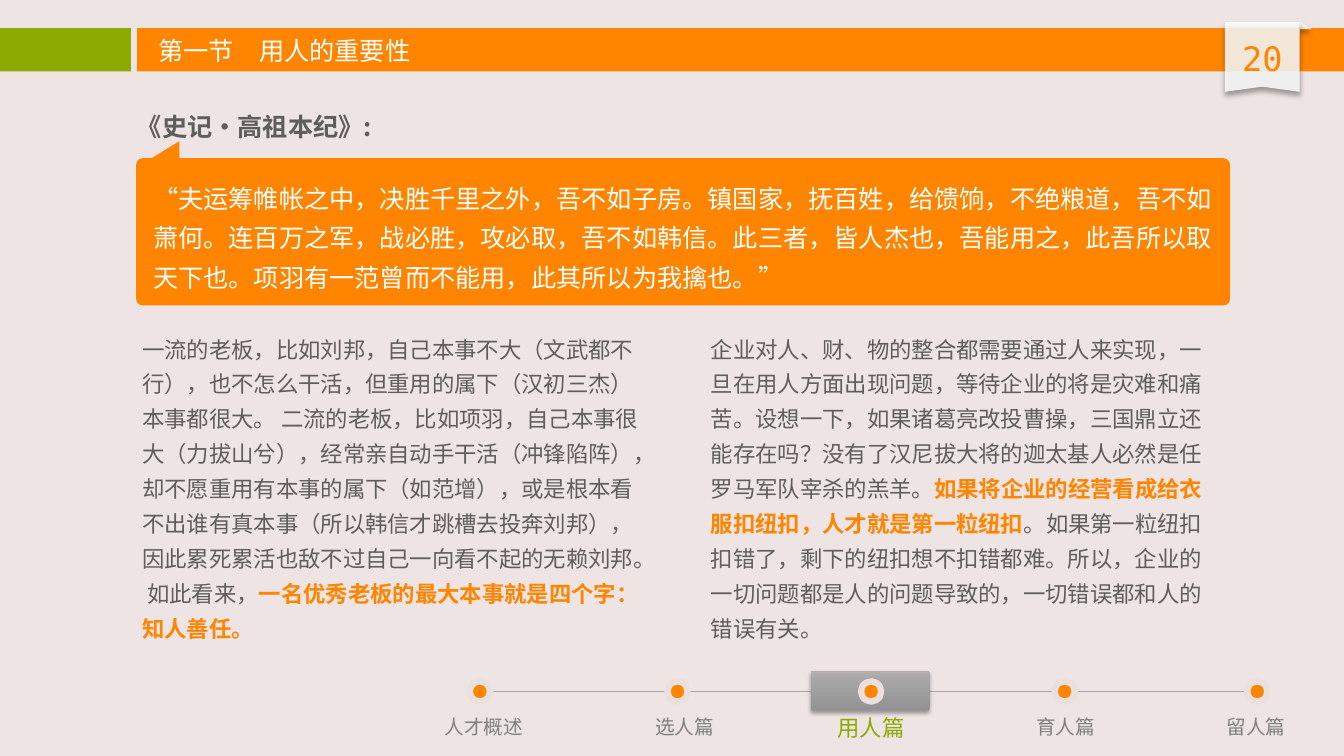
from lxml import etree
from pptx import Presentation
from pptx.dml.color import RGBColor
from pptx.enum.dml import MSO_THEME_COLOR
from pptx.enum.shapes import MSO_CONNECTOR, MSO_SHAPE
from pptx.enum.text import MSO_ANCHOR, MSO_AUTO_SIZE, PP_ALIGN
from pptx.oxml.ns import qn
from pptx.util import Inches, Pt

RECTANGLE, ROUNDED = MSO_SHAPE.RECTANGLE, MSO_SHAPE.ROUNDED_RECTANGLE
OVAL, TRIANGLE = MSO_SHAPE.OVAL, MSO_SHAPE.ISOSCELES_TRIANGLE
RIGHT_TRIANGLE, STRAIGHT = MSO_SHAPE.RIGHT_TRIANGLE, MSO_CONNECTOR.STRAIGHT
LEFT, CENTER, TOP = PP_ALIGN.LEFT, PP_ALIGN.CENTER, MSO_ANCHOR.TOP
GROW = MSO_AUTO_SIZE.SHAPE_TO_FIT_TEXT

COLORS = {
    "page": "EEE4E4", "orange": "FF8500", "green": "8BAB00", "white": "FFFFFF",
    "fold": "F8F8F8", "ring": "EAE0DE", "track": "A6A6A6", "label": "808080",
    "body": "5F5E5C", "shadow": "000000",
}
TAB_GRADIENT = [(0, "939292"), (80, "A6A6A7"), (100, "B6B0B2")]
SANS, MONO = "Noto Sans CJK SC", "DejaVu Sans Mono"

TITLE = "第一节　用人的重要性"
SOURCE = "《史记•高祖本纪》:"
QUOTE = (
    "“夫运筹帷帐之中，决胜千里之外，吾不如子房。镇国家，抚百姓，给馈饷，不绝粮道，"
    "吾不如萧何。连百万之军，战必胜，攻必取，吾不如韩信。此三者，皆人杰也，吾能用之，"
    "此吾所以取天下也。项羽有一范曾而不能用，此其所以为我擒也。”"
)
BOSSES = [
    ("一流的老板，比如刘邦，自己本事不大（文武都不行），也不怎么干活，但重用的属下"
     "（汉初三杰）本事都很大。 二流的老板，比如项羽，自己本事很大（力拔山兮），经常亲自"
     "动手干活（冲锋陷阵），却不愿重用有本事的属下（如范增），或是根本看不出谁有真本事"
     "（所以韩信才跳槽去投奔刘邦），因此累死累活也敌不过自己一向看不起的无赖刘邦。 "
     "如此看来，", False),
    ("一名优秀老板的最大本事就是四个字：知人善任。", True),
]
TALENT = [
    ("企业对人、财、物的整合都需要通过人来实现，一旦在用人方面出现问题，等待企业的将是"
     "灾难和痛苦。设想一下，如果诸葛亮改投曹操，三国鼎立还能存在吗？没有了汉尼拔大将的"
     "迦太基人必然是任罗马军队宰杀的羔羊。", False),
    ("如果将企业的经营看成给衣服扣纽扣，人才就是第一粒纽扣", True),
    ("。如果第一粒纽扣扣错了，剩下的纽扣想不扣错都难。所以，企业的一切问题都是人的问题"
     "导致的，一切错误都和人的错误有关。", False),
]
CHAPTERS = [
    ("人才概述", 4.76, 4.8), ("选人篇", 6.72, 6.79), ("用人篇", 8.64, 8.64),
    ("育人篇", 10.56, 10.57), ("留人篇", 12.47, 12.46),
]
CURRENT = "用人篇"


def rgb(name):
    """Return the named colour."""
    return RGBColor.from_string(COLORS[name])


def paint(shape, color, alpha=100):
    """Give a shape a plain fill with no line and no shadow."""
    shape.shadow.inherit = False
    shape.fill.solid()
    shape.fill.fore_color.rgb = rgb(color)
    shape.line.fill.background()
    if alpha < 100:
        value = shape.element.spPr.find(".//" + qn("a:srgbClr"))
        etree.SubElement(value, qn("a:alpha"), val=str(alpha * 1000))
    return shape


def add_block(shapes, kind, box, color, alpha=100):
    """Add a painted preset shape in the given box."""
    return paint(shapes.add_shape(kind, *map(Inches, box)), color, alpha)


def cast_shadow(shape, alpha, blur, distance):
    """Cast a soft shadow straight down."""
    effects = shape.element.spPr.find(qn("a:effectLst"))
    shadow = etree.SubElement(
        effects, qn("a:outerShdw"), blurRad=str(Pt(blur)), dist=str(Pt(distance)),
        dir="5400000", algn="t", rotWithShape="0")
    value = etree.SubElement(shadow, qn("a:srgbClr"), val=COLORS["shadow"])
    etree.SubElement(value, qn("a:alpha"), val=str(alpha * 1000))


def write(holder, spans, size, color, align=LEFT, spacing=1.0, face=SANS, wrap=True):
    """Write one paragraph of (text, bold, colour) spans."""
    frame = holder.text_frame
    layout = {"word_wrap": wrap, "auto_size": GROW, "vertical_anchor": TOP}
    for name, value in layout.items():
        setattr(frame, name, value)
    para = frame.paragraphs[0]
    if holder.is_placeholder:
        properties = para._p.get_or_add_pPr()
        properties.set("marL", "0")
        properties.set("indent", "0")
        etree.SubElement(properties, qn("a:buNone"))
    rules = {"alignment": align, "line_spacing": spacing, "space_before": Pt(0)}
    for name, value in rules.items():
        setattr(para, name, value)
    for text, bold in spans:
        span = para.add_run()
        span.text = text
        for name, value in {"size": Pt(size), "bold": bold, "name": face}.items():
            setattr(span.font, name, value)
        span.font.color.rgb = rgb(color[bold] if isinstance(color, tuple) else color)
        etree.SubElement(span.font._element, qn("a:ea"), typeface=face)


def add_text(shapes, box, text, size, color, bold=False, **options):
    """Add a text box holding one span."""
    holder = shapes.add_textbox(*map(Inches, box))
    write(holder, [(text, bold)], size, color, **options)


def place(holder, box):
    """Move a placeholder to the box and bring it to the front."""
    for name, value in zip(("left", "top", "width", "height"), box):
        setattr(holder, name, Inches(value))
    holder.element.getparent().append(holder.element)


def draw_header(page, box):
    """Draw the two header bars and the section title."""
    left, top, width, height = box
    add_block(page.shapes, RECTANGLE, (left, top, 1.3, height), "green")
    add_block(page.shapes, RECTANGLE, (left + 1.36, top, width - 1.36, height), "orange")
    title = page.shapes.title
    place(title, (left + 1.47, top + 0.02, 5.04, 0.4))
    write(title, [(TITLE, False)], 18, "white")


def draw_ribbon(page, box, number):
    """Draw the notched ribbon with the page number."""
    left, top, width, height = box
    right, bottom = left + width, top + height
    fold = add_block(page.shapes, RIGHT_TRIANGLE, (right, top - 0.01, 0.12, 0.08), "fold", 85)
    outline = [(right, top), (right, bottom), (left + width / 2, bottom - 0.05), (left, bottom)]
    builder = page.shapes.build_freeform(Inches(left), Inches(top))
    builder.add_line_segments([(Inches(x), Inches(y)) for x, y in outline])
    ribbon = paint(builder.convert_to_shape(), "white", 85)
    for part in (fold, ribbon):
        cast_shadow(part, 40, 4, 3)
    add_text(page.shapes, (left, top + 0.11, width, 0.5), number, 24, "orange",
             align=CENTER, face=MONO)


def draw_quote(page, box):
    """Draw the source line and the speech panel below it."""
    left, top, width, height = box
    add_text(page.shapes, (left - 0.09, top - 0.6, 2.89, 0.49), SOURCE, 18, "body",
             bold=True, spacing=1.3)
    group = page.shapes.add_group_shape().shapes
    panel = add_block(group, ROUNDED, box, "orange")
    panel.adjustments[0] = 0.044
    pointer = add_block(group, TRIANGLE, (left + 0.12, top - 0.17, 0.31, 0.19), "orange")
    pointer.adjustments[0] = 1.0
    add_text(group, (left + 0.07, top + 0.11, width - 0.14, 1.28), QUOTE, 18, "white",
             spacing=1.3)


def draw_column(holder, box, spans):
    """Fill one body column with its commentary."""
    place(holder, box)
    write(holder, spans, 16, ("body", "orange"), spacing=1.3)


def draw_current_tab(page, center, middle):
    """Draw the grey tab behind the current chapter."""
    tab = add_block(page.shapes, ROUNDED, (center - 0.6, middle - 0.2, 1.18, 0.39), "track")
    tab.adjustments[0] = 0.053
    tab.fill.gradient()
    tab.fill.gradient_angle = 90
    stops = tab.element.spPr.find(".//" + qn("a:gsLst"))
    stops.clear()
    for position, color in TAB_GRADIENT:
        stop = etree.SubElement(stops, qn("a:gs"), pos=str(position * 1000))
        etree.SubElement(stop, qn("a:srgbClr"), val=color)
    cast_shadow(tab, 35, 3.1, 1.8)


def draw_timeline(page, box):
    """Draw the chapter track with its dots and labels."""
    left, middle, width, label_gap = box
    track = page.shapes.add_connector(
        STRAIGHT, *map(Inches, (left, middle, left + width, middle)))
    track.line.color.rgb = rgb("track")
    track.line.width = Pt(1)
    etree.SubElement(track.element.spPr, qn("a:effectLst"))
    for name, dot_center, label_center in CHAPTERS:
        current = name == CURRENT
        if current:
            draw_current_tab(page, dot_center, middle)
        dot = add_block(page.shapes, OVAL, (dot_center - 0.1, middle - 0.1, 0.2, 0.2), "orange")
        dot.line.color.rgb = rgb("ring")
        dot.line.width = Pt(4.5)
        add_text(page.shapes, (label_center - 0.5, middle + label_gap, 1, 0.34), name,
                 16 if current else 14, "green" if current else "label",
                 align=CENTER, wrap=False)


def main():
    """Build and save the deck."""
    deck = Presentation()
    deck.slide_width, deck.slide_height = Inches(13.33), Inches(7.5)
    page = deck.slides.add_slide(deck.slide_layouts[3])
    page.background.fill.solid()
    page.background.fill.fore_color.rgb = rgb("page")
    draw_header(page, (0, 0.28, 13.33, 0.43))
    draw_ribbon(page, (12.15, 0.22, 0.74, 0.69), "20")
    draw_timeline(page, (4.82, 6.86, 7.63, 0.18))
    draw_quote(page, (1.35, 1.57, 10.85, 1.46))
    draw_column(page.placeholders[1], (1.31, 3.2, 5.2, 3.25), BOSSES)
    draw_column(page.placeholders[2], (6.95, 3.2, 5.22, 3.25), TALENT)
    deck.save("out.pptx")


if __name__ == "__main__":
    main()
